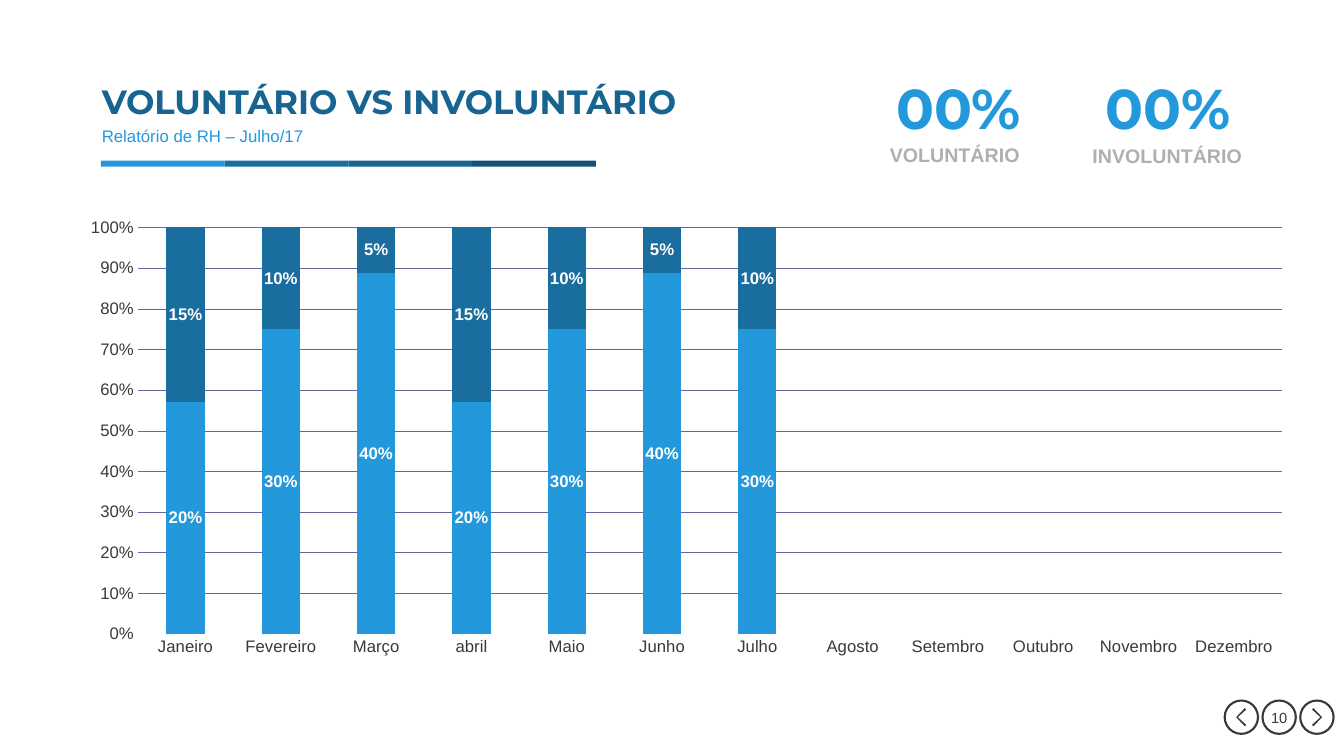
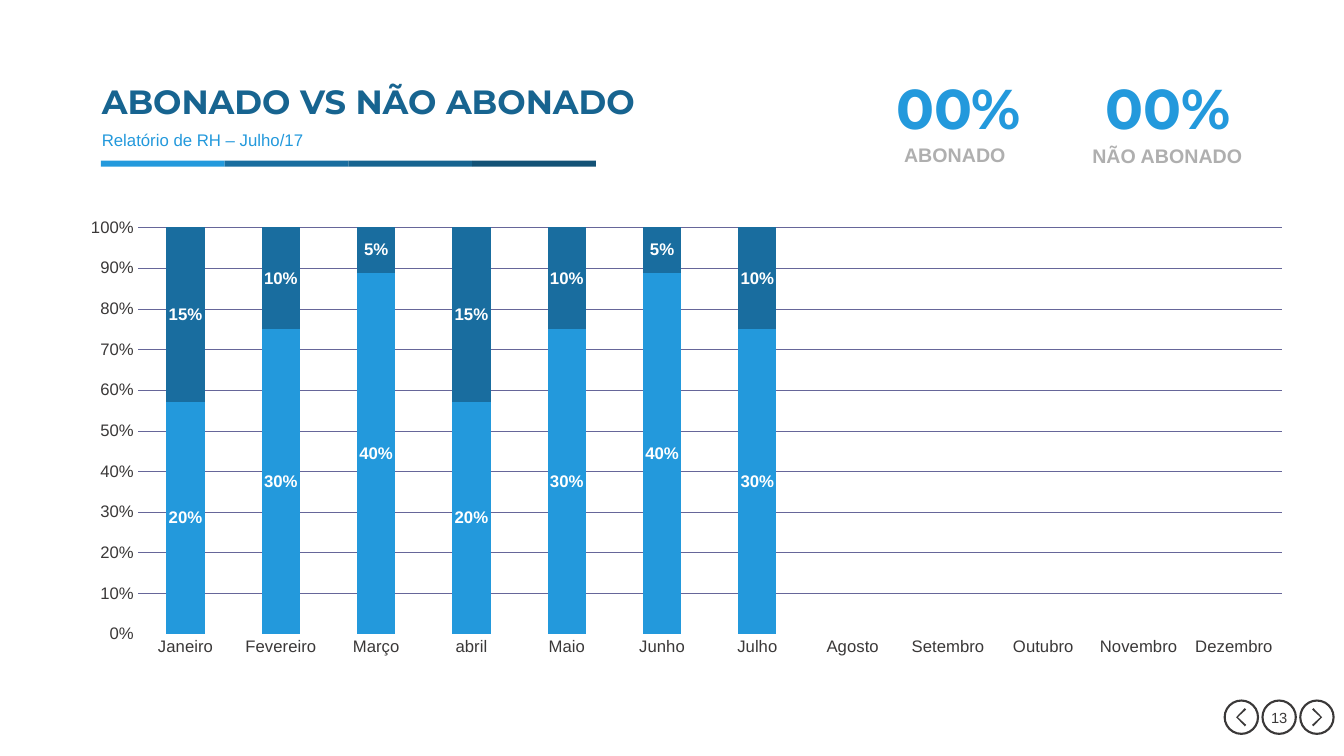
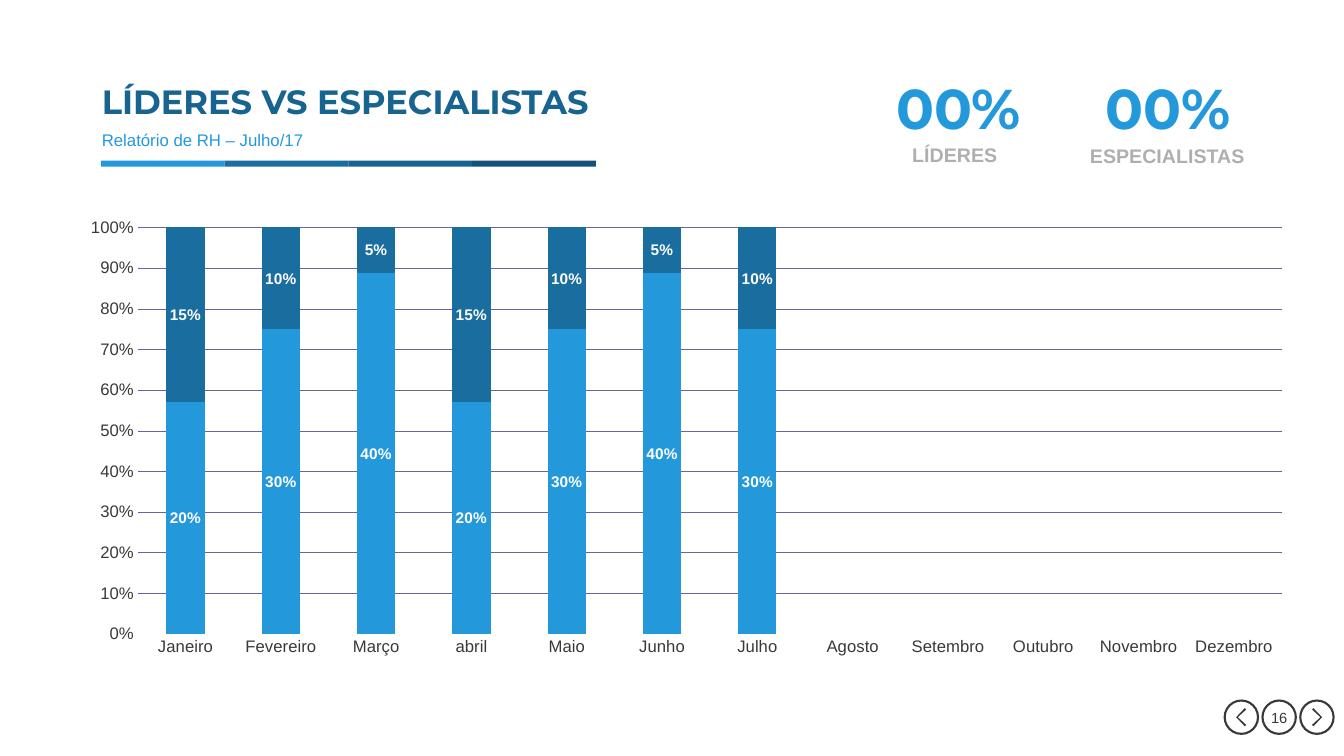
from pptx import Presentation
from pptx.chart.data import CategoryChartData
from pptx.dml.color import RGBColor
from pptx.enum.chart import XL_CHART_TYPE as ChartType
from pptx.enum.chart import XL_LABEL_POSITION as LabelPosition
from pptx.enum.chart import XL_TICK_MARK as TickMark
from pptx.enum.shapes import MSO_SHAPE as Preset
from pptx.enum.text import MSO_ANCHOR as Anchor
from pptx.enum.text import MSO_AUTO_SIZE as AutoSize
from pptx.enum.text import PP_ALIGN as Align
from pptx.oxml import parse_xml
from pptx.oxml.ns import nsdecls
from pptx.util import Pt

# Style
SKY, BLUE, STEEL, NAVY = "2399DC", "196D9F", "176490", "135276"
DARK, GRAY, WHITE, GRID = "3A3838", "AFAFAF", "FFFFFF", "666699"
BODY_FONT, HEAD_FONT = "Arial", "Montserrat"

# Chart data
MONTHS = ["Janeiro", "Fevereiro", "Março", "abril", "Maio", "Junho", "Julho",
          "Agosto", "Setembro", "Outubro", "Novembro", "Dezembro"]
SERIES = [
    ("Series 1", SKY, [0.2, 0.3, 0.4, 0.2, 0.3, 0.4, 0.3]),
    ("Series 2", BLUE, [0.15, 0.1, 0.05, 0.15, 0.1, 0.05, 0.1]),
]
CHART_BOX = (47.5, 149.75, 885.6, 325.4)
PLOT_BOX = (51, 12.75, 817, 290.4)  # inside the chart

# One entry a slide; each statistic is a label and the width of its box
REPORTS = [
    dict(page=10, title="VOLUNTÁRIO VS INVOLUNTÁRIO", title_width=453,
         subtitle_top=87.8, label_size=12,
         stats=[("VOLUNTÁRIO", 108), ("INVOLUNTÁRIO", 122.4)]),
    dict(page=13, title="ABONADO VS NÃO ABONADO", title_width=419,
         subtitle_top=90.7, label_size=12,
         stats=[("ABONADO", 87.8), ("NÃO ABONADO", 122.4)]),
    dict(page=16, title="LÍDERES VS ESPECIALISTAS", title_width=419,
         subtitle_top=90.7, label_size=11,
         stats=[("LÍDERES", 75.6), ("ESPECIALISTAS", 126)]),
]
# Value left, label centre and label top of each statistic
STAT_PLACES = [(626.4, 682, 98.6), (776.2, 833.8, 99.4)]


def color(hex_code):
    return RGBColor.from_string(hex_code)


class ReportDeck:
    def __init__(self):
        self.deck = Presentation()
        self.deck.slide_width, self.deck.slide_height = Pt(960), Pt(540)
        self.slide = None

    def new_slide(self):
        self.slide = self.deck.slides.add_slide(self.deck.slide_layouts[2])

    # Text
    def style(self, font, size, hex_code, bold=False, name=BODY_FONT):
        font.name, font.size, font.bold = name, Pt(size), bold
        font.color.rgb = color(hex_code)

    def set_text(self, box, text, size, hex_code, bold=False, name=BODY_FONT,
                 align=Align.LEFT, anchor=Anchor.TOP, spacing=1.0, wrap=True):
        frame = box.text_frame
        frame.auto_size = AutoSize.NONE
        frame.word_wrap, frame.vertical_anchor = wrap, anchor
        para = frame.paragraphs[0]
        para.alignment, para.line_spacing = align, spacing
        para.space_before = Pt(0)
        span = para.add_run()
        span.text = text
        self.style(span.font, size, hex_code, bold, name)

    def place(self, box, left, top, width, height):
        box.left, box.top = Pt(left), Pt(top)
        box.width, box.height = Pt(width), Pt(height)

    def heading(self, title, title_width, subtitle_top):
        title_box, subtitle_box = self.slide.placeholders
        self.place(title_box, 65.5, 54, title_width, 40.3)
        self.set_text(title_box, title, 24, STEEL, True, HEAD_FONT,
                      anchor=Anchor.MIDDLE, spacing=0.9)
        self.place(subtitle_box, 65.5, subtitle_top, 815.8, 20.2)
        self.set_text(subtitle_box, "Relatório de RH – Julho/17", 12, SKY,
                      spacing=0.9)

    def text_box(self, left, top, width, height, text, size, hex_code, **options):
        box = self.slide.shapes.add_textbox(
            Pt(left), Pt(top), Pt(width), Pt(height))
        self.set_text(box, text, size, hex_code, True, align=Align.CENTER,
                      **options)

    def statistic(self, place, label, label_width):
        value_left, label_center, label_top = place
        self.text_box(value_left, 52.6, 116.6, 54, "00%", 40, SKY,
                      name=HEAD_FONT, anchor=Anchor.MIDDLE, spacing=0.9)
        self.text_box(label_center - label_width / 2, label_top, label_width,
                      24.5, label, 14, GRAY, wrap=False)

    # Shapes
    def paint(self, shape, fill=None, line=None):
        shape.shadow.inherit = False
        if fill:
            shape.fill.solid()
            shape.fill.fore_color.rgb = color(fill)
        else:
            shape.fill.background()
        if line:
            shape.line.color.rgb = color(line)
            shape.line.width = Pt(1.5)
        else:
            shape.line.fill.background()

    def shape(self, preset, left, top, width, height, **colors):
        shape = self.slide.shapes.add_shape(
            preset, Pt(left), Pt(top), Pt(width), Pt(height))
        self.paint(shape, **colors)
        return shape

    def color_band(self):
        width = 88.4
        for index, fill in enumerate((SKY, BLUE, STEEL, NAVY)):
            self.shape(Preset.RECTANGLE, 72 + index * width, 114.8, width, 4.3,
                       fill=fill)

    def chevron(self, center_x, center_y, direction):
        outline = [(-2.5, -6.5), (-3.5, -5.5), (2.5, 0),
                   (-3.5, 5.5), (-2.5, 6.5), (3.7, 0)]
        points = [(Pt(center_x + direction * x), Pt(center_y + y))
                  for x, y in outline]
        builder = self.slide.shapes.build_freeform(*points[0], scale=1.0)
        builder.add_line_segments(points[1:], close=True)
        self.paint(builder.convert_to_shape(), fill=DARK)

    def page_controls(self, page):
        size, top = 23.8, 500.4
        for index, direction in enumerate((-1, 0, 1)):
            left = 874.8 + index * 27
            circle = self.shape(Preset.OVAL, left, top, size, size, line=DARK)
            if direction:
                self.chevron(left + size / 2, top + size / 2, direction)
            else:
                frame = circle.text_frame
                frame.margin_left = frame.margin_right = 0
                frame.margin_top = frame.margin_bottom = 0
                self.set_text(circle, str(page), 10.5, DARK, align=Align.CENTER,
                              anchor=Anchor.MIDDLE, wrap=False)

    # Chart
    def chart(self, label_size):
        data = CategoryChartData(number_format="0%")
        data.categories = MONTHS
        for name, _, values in SERIES:
            data.add_series(name, values + [None] * (len(MONTHS) - len(values)))
        chart = self.slide.shapes.add_chart(
            ChartType.COLUMN_STACKED_100, *map(Pt, CHART_BOX), data).chart
        chart.has_legend = chart.has_title = False
        self.style(chart.font, 10, DARK)
        self.axes(chart)
        plot = chart.plots[0]
        plot.gap_width, plot.overlap, plot.vary_by_categories = 150, 100, False
        for series, (_, fill, _) in zip(plot.series, SERIES):
            series.format.fill.solid()
            series.format.fill.fore_color.rgb = color(fill)
            labels = series.data_labels
            labels.show_value, labels.position = True, LabelPosition.CENTER
            labels.number_format, labels.number_format_is_linked = "0%", False
            self.style(labels.font, label_size, WHITE, True)
        self.plot_layout(chart)

    def axes(self, chart):
        months, percent = chart.category_axis, chart.value_axis
        for axis in (months, percent):
            axis.major_tick_mark = axis.minor_tick_mark = TickMark.NONE
            self.style(axis.tick_labels.font, 11.9, DARK)
        months.format.line.color.rgb = color(WHITE)
        months.format.line.width = Pt(1)
        percent.format.line.fill.background()
        percent.minimum_scale, percent.maximum_scale = 0, 1
        percent.major_unit = 0.1
        percent.tick_labels.number_format = "0%"
        percent.tick_labels.number_format_is_linked = False
        percent.has_major_gridlines = True
        grid = percent.major_gridlines.format.line
        grid.color.rgb, grid.width = color(GRID), Pt(0.25)

    def plot_layout(self, chart):
        area = chart.element.xpath("c:chart/c:plotArea")[0]
        for old in area.xpath("c:layout"):
            area.remove(old)
        sizes = CHART_BOX[2:] * 2
        shares = "".join(f'<c:{tag} val="{length / size:.4f}"/>' for tag, length, size
                         in zip("xywh", PLOT_BOX, sizes))
        area.insert(0, parse_xml(
            f'<c:layout {nsdecls("c")}><c:manualLayout>'
            '<c:layoutTarget val="inner"/><c:xMode val="edge"/>'
            f'<c:yMode val="edge"/>{shares}</c:manualLayout></c:layout>'))


def main():
    report = ReportDeck()
    for entry in REPORTS:
        report.new_slide()
        report.page_controls(entry["page"])
        report.color_band()
        report.heading(entry["title"], entry["title_width"], entry["subtitle_top"])
        for place, (label, width) in zip(STAT_PLACES, entry["stats"]):
            report.statistic(place, label, width)
        report.chart(entry["label_size"])
    report.deck.save("out.pptx")


if __name__ == "__main__":
    main()
